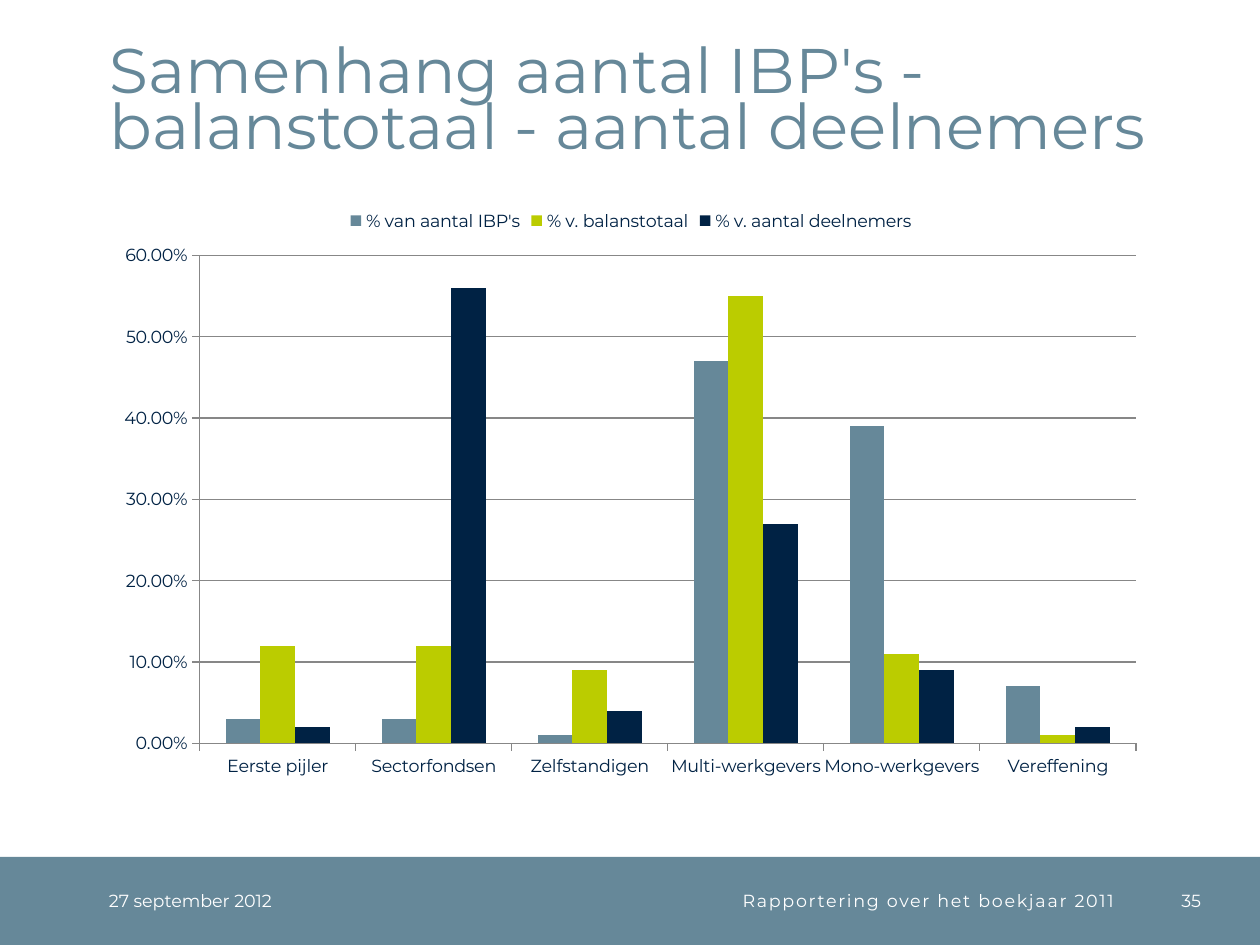
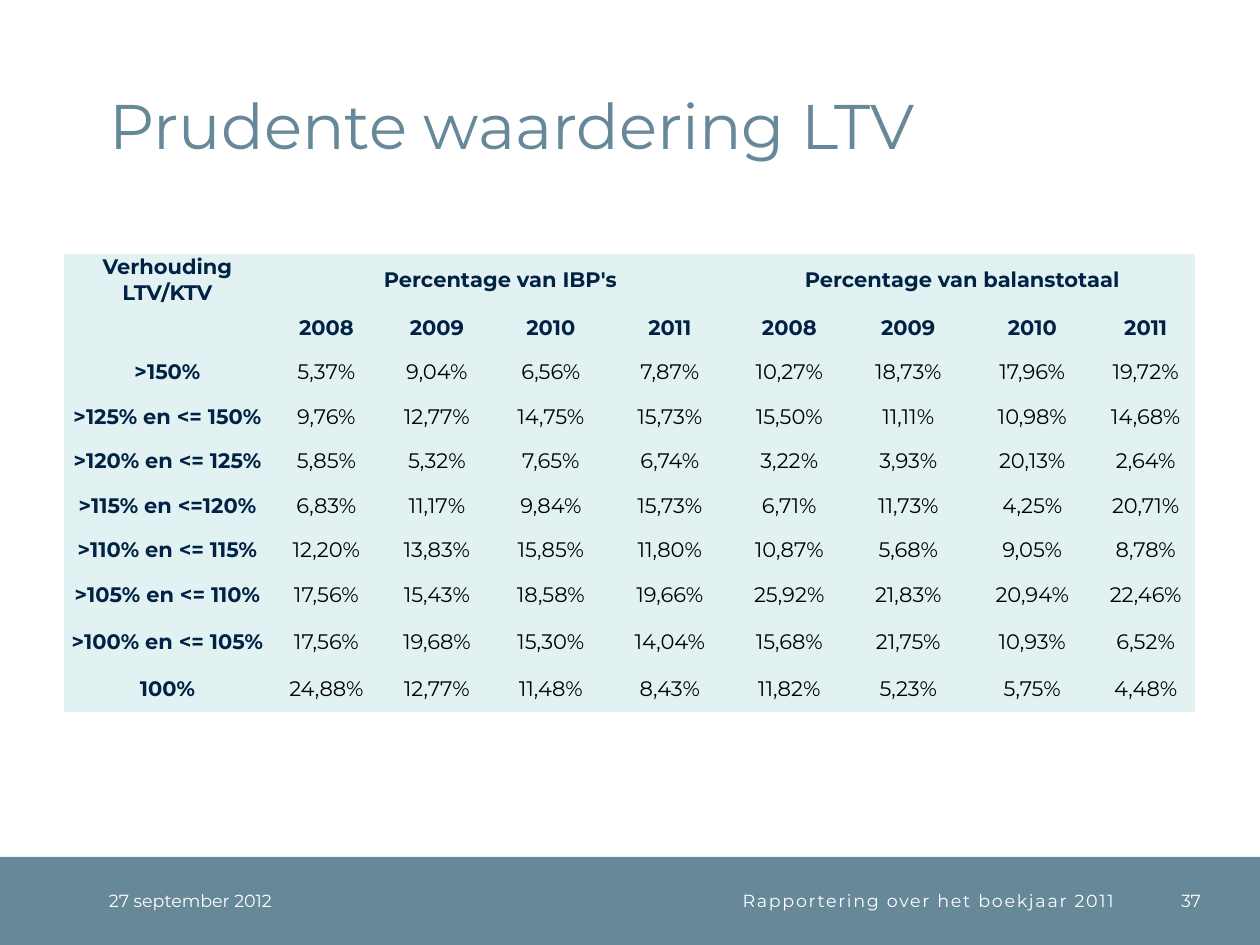
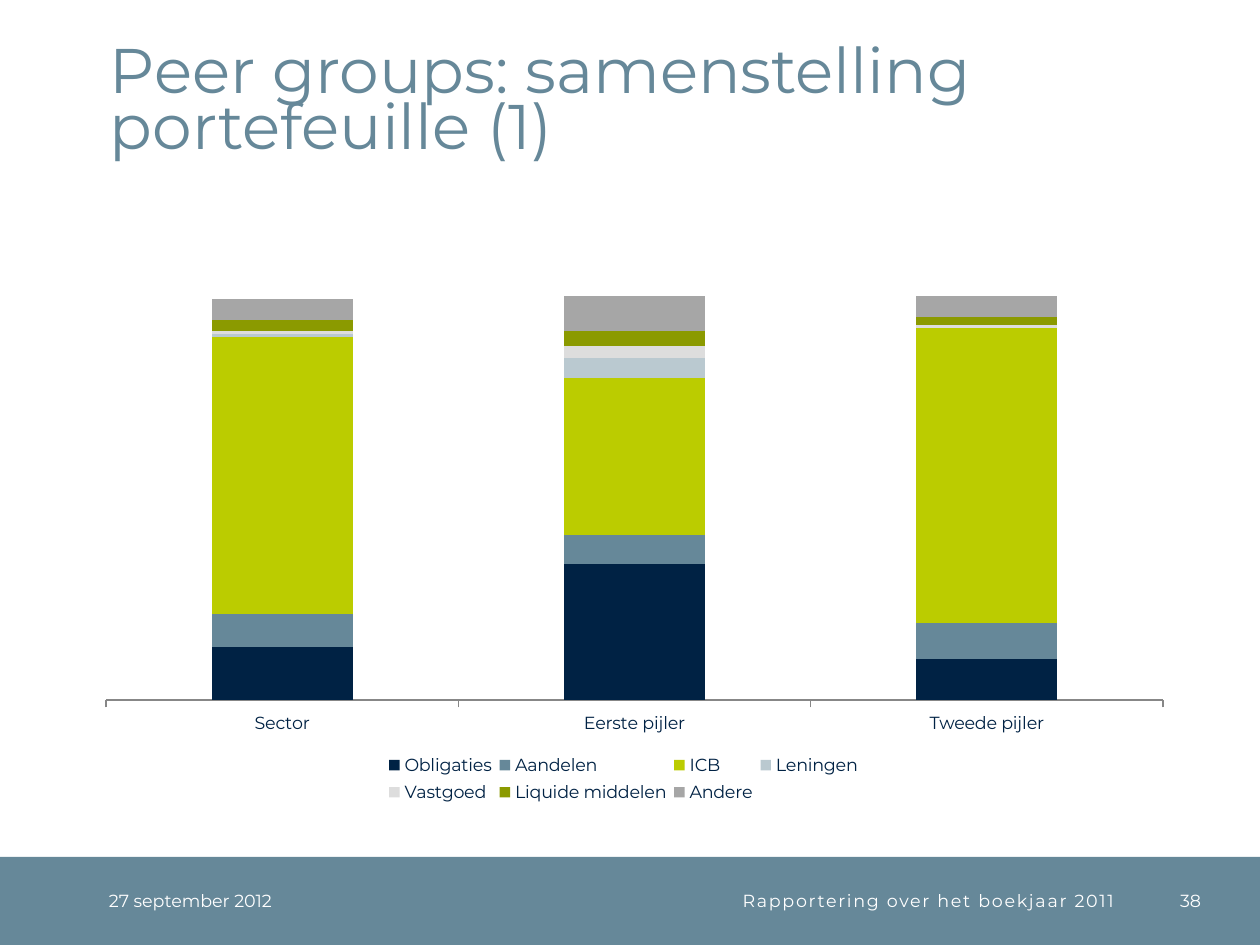
from lxml.etree import SubElement
from pptx import Presentation
from pptx.chart.data import CategoryChartData
from pptx.dml.color import RGBColor
from pptx.enum.chart import XL_CHART_TYPE as CT, XL_LEGEND_POSITION as LP, XL_TICK_MARK as TM
from pptx.enum.shapes import MSO_SHAPE
from pptx.enum.text import MSO_ANCHOR, PP_ALIGN
from pptx.oxml import parse_xml
from pptx.oxml.ns import nsdecls, qn
from pptx.util import Emu, Pt

PX = 914400 / 126
FONT = "Montserrat"
STEEL = RGBColor(0x66, 0x88, 0x99)
LIME = RGBColor(0xBB, 0xCC, 0x00)
NAVY = RGBColor(0x00, 0x22, 0x44)
MIST = RGBColor(0xBA, 0xC9, 0xD0)
SILVER = RGBColor(0xDD, 0xDD, 0xDD)
OLIVE = RGBColor(0x8B, 0x9A, 0x00)
GREY = RGBColor(0xA6, 0xA6, 0xA6)
AXIS = RGBColor(0x87, 0x87, 0x87)
PALE = RGBColor(0xE2, 0xF2, 0xF2)
BLACK = RGBColor(0, 0, 0)
WHITE = RGBColor(255, 255, 255)

BAND_TOP, BAND_H = 857, 88
DATE = "27 september 2012"
FOOTER = "Rapportering over het boekjaar 2011"
NO_STYLE = "{2D5ABB26-0587-4C30-8999-92F81FD0307C}"

IBP_CATS = ["Eerste pijler", "Sectorfondsen", "Zelfstandigen",
            "Multi-werkgevers", "Mono-werkgevers", "Vereffening"]
IBP_SERIES = [
    ("% van aantal IBP's", (0.03, 0.03, 0.01, 0.47, 0.39, 0.07), STEEL),
    ("% v. balanstotaal", (0.12, 0.12, 0.09, 0.55, 0.11, 0.01), LIME),
    ("% v. aantal deelnemers", (0.02, 0.56, 0.04, 0.27, 0.09, 0.02), NAVY),
]

PEER_CATS = ["Sector", "Eerste pijler", "Tweede pijler"]
PEER_SERIES = [
    ("Obligaties", (18, 46, 14), NAVY),
    ("Aandelen", (11, 10, 12), STEEL),
    ("ICB", (94, 53, 100), LIME),
    ("Leningen", (1, 7, 0), MIST),
    ("Vastgoed", (1, 4, 1), SILVER),
    ("Liquide middelen", (4, 5, 3), OLIVE),
    ("Andere", (7, 12, 7), GREY),
]

YEARS = ["2008", "2009", "2010", "2011"]
LTV_ROWS = [
    ["Verhouding LTV/KTV", "Percentage van IBP's", "", "", "",
     "Percentage van balanstotaal", "", "", ""],
    ["", *YEARS, *YEARS],
    [">150%", "5,37%", "9,04%", "6,56%", "7,87%",
     "10,27%", "18,73%", "17,96%", "19,72%"],
    [">125% en <= 150%", "9,76%", "12,77%", "14,75%", "15,73%",
     "15,50%", "11,11%", "10,98%", "14,68%"],
    [">120% en <= 125%", "5,85%", "5,32%", "7,65%", "6,74%",
     "3,22%", "3,93%", "20,13%", "2,64%"],
    [">115% en <=120%", "6,83%", "11,17%", "9,84%", "15,73%",
     "6,71%", "11,73%", "4,25%", "20,71%"],
    [">110% en <= 115%", "12,20%", "13,83%", "15,85%", "11,80%",
     "10,87%", "5,68%", "9,05%", "8,78%"],
    [">105% en <= 110%", "17,56%", "15,43%", "18,58%", "19,66%",
     "25,92%", "21,83%", "20,94%", "22,46%"],
    [">100% en <= 105%", "17,56%", "19,68%", "15,30%", "14,04%",
     "15,68%", "21,75%", "10,93%", "6,52%"],
    ["100%", "24,88%", "12,77%", "11,48%", "8,43%",
     "11,82%", "5,23%", "5,75%", "4,48%"],
]
LTV_COLS = [207, 111, 110, 118, 120, 119, 119, 129, 98]
LTV_HEIGHTS = [52, 44, 45, 44, 45, 44, 45, 44, 50, 45]


def px(n):
    return Emu(round(n * PX))


def box(*lengths):
    return [px(n) for n in lengths]


def style(font, size, color, bold=False):
    font.name, font.size, font.bold = FONT, Pt(size), bold
    font.color.rgb = color


def no_margins(o):
    o.margin_left = o.margin_right = o.margin_top = o.margin_bottom = 0


def add_text(s, text, at, size, color, align=PP_ALIGN.LEFT, anchor=MSO_ANCHOR.MIDDLE):
    tf = s.shapes.add_textbox(*box(*at)).text_frame
    tf.word_wrap = True
    tf.vertical_anchor = anchor
    no_margins(tf)
    p = tf.paragraphs[0]
    p.text, p.alignment = text, align
    style(p.font, size, color)
    return p


def add_page(prs, title, number):
    """Blank slide with the title, the footer band and its three texts."""
    s = prs.slides.add_slide(prs.slide_layouts[6])
    band = s.shapes.add_shape(MSO_SHAPE.RECTANGLE, *box(0, BAND_TOP, 1260, BAND_H))
    band.shadow.inherit = False
    band.fill.solid()
    band.fill.fore_color.rgb = STEEL
    band.line.fill.background()
    p = add_text(s, title, (110, 26, 1087, 136), 36, STEEL, anchor=MSO_ANCHOR.BOTTOM)
    p.line_spacing = Pt(32)
    add_text(s, DATE, (109, BAND_TOP, 223, BAND_H), 10, WHITE)
    p = add_text(s, FOOTER, (333, BAND_TOP, 781, BAND_H), 10, WHITE, PP_ALIGN.RIGHT)
    p.runs[0].font._element.set("spc", "100")
    add_text(s, str(number), (1139, BAND_TOP, 62, BAND_H), 10, WHITE, PP_ALIGN.RIGHT)
    return s


def manual_layout(parent, x, y, w, h, inner=False):
    """Place a plot area or legend by fractions of the chart."""
    for old in parent.findall(qn("c:layout")):
        parent.remove(old)
    layout = parse_xml(f"<c:layout {nsdecls('c')}/>")
    manual = SubElement(layout, qn("c:manualLayout"))
    values = [("xMode", "edge"), ("yMode", "edge"), ("x", x), ("y", y), ("w", w), ("h", h)]
    if inner:
        values.insert(0, ("layoutTarget", "inner"))
    for tag, value in values:
        SubElement(manual, qn(f"c:{tag}")).set("val", str(value))
    pos = parent.find(qn("c:legendPos"))
    parent.insert(0 if pos is None else 1, layout)


def add_columns(s, kind, cats, series, at, plot_at, top, legend_pos, number_format):
    data = CategoryChartData(number_format=number_format)
    data.categories = cats
    for name, values, _ in series:
        data.add_series(name, values)
    chart = s.shapes.add_chart(kind, *box(*at), data).chart
    style(chart.font, 10, NAVY)
    chart.has_title = False
    chart.has_legend = True
    chart.legend.position = legend_pos
    chart.legend.include_in_layout = False
    plot = chart.plots[0]
    plot.gap_width, plot.vary_by_categories = 150, False
    plot.overlap = 100 if kind == CT.COLUMN_STACKED else 0
    for ser, (_, _, color) in zip(plot.series, series):
        ser.format.fill.solid()
        ser.format.fill.fore_color.rgb = color
    axis = chart.value_axis
    axis.minimum_scale, axis.maximum_scale = 0, top
    for ax in (chart.category_axis, axis):
        ax.major_tick_mark = TM.OUTSIDE
        ax.format.line.color.rgb = AXIS
    manual_layout(chart._chartSpace.chart.plotArea, *plot_at, inner=True)
    return chart


def add_ltv_table(s):
    at = box(64, 254, sum(LTV_COLS), sum(LTV_HEIGHTS))
    table = s.shapes.add_table(len(LTV_ROWS), len(LTV_COLS), *at).table
    table.first_row = table.horz_banding = False
    table._tbl.tblPr.find(qn("a:tableStyleId")).text = NO_STYLE
    for col, w in zip(table.columns, LTV_COLS):
        col.width = px(w)
    for row, h in zip(table.rows, LTV_HEIGHTS):
        row.height = px(h)
    for i, texts in enumerate(LTV_ROWS):
        for j, text in enumerate(texts):
            cell = table.cell(i, j)
            cell.fill.solid()
            cell.fill.fore_color.rgb = PALE
            cell.vertical_anchor = MSO_ANCHOR.MIDDLE
            no_margins(cell)
            p = cell.text_frame.paragraphs[0]
            p.text, p.alignment = text, PP_ALIGN.CENTER
            header = i < 2 or j == 0
            style(p.font, 12, NAVY if header else BLACK, header)
    for first in (1, 5):
        table.cell(0, first).merge(table.cell(0, first + 3))


def main():
    prs = Presentation()
    prs.slide_width, prs.slide_height = box(1260, 945)

    s = add_page(prs, "Samenhang aantal IBP's - balanstotaal - aantal deelnemers", 35)
    chart = add_columns(s, CT.COLUMN_CLUSTERED, IBP_CATS, IBP_SERIES, (105, 196, 1052, 595),
                        (0.09, 0.1, 0.89, 0.82), 0.6, LP.TOP, "0.00%")
    axis = chart.value_axis
    axis.major_unit = 0.1
    axis.major_gridlines.format.line.color.rgb = AXIS
    axis.tick_labels.number_format = "0.00%"
    axis.tick_labels.number_format_is_linked = False

    s = add_page(prs, "Prudente waardering LTV", 37)
    add_ltv_table(s)

    s = add_page(prs, "Peer groups: samenstelling portefeuille (1)", 38)
    chart = add_columns(s, CT.COLUMN_STACKED, PEER_CATS, PEER_SERIES, (84, 204, 1101, 605),
                        (0.02, 0.04, 0.96, 0.78), 160, LP.BOTTOM, "General")
    chart.value_axis.has_major_gridlines = False
    chart.value_axis.visible = False
    # Narrow enough that the seven entries break into rows of four and three
    manual_layout(chart.legend._element, 0.27, 0.9, 0.44, 0.1)

    prs.save("out.pptx")


if __name__ == "__main__":
    main()
